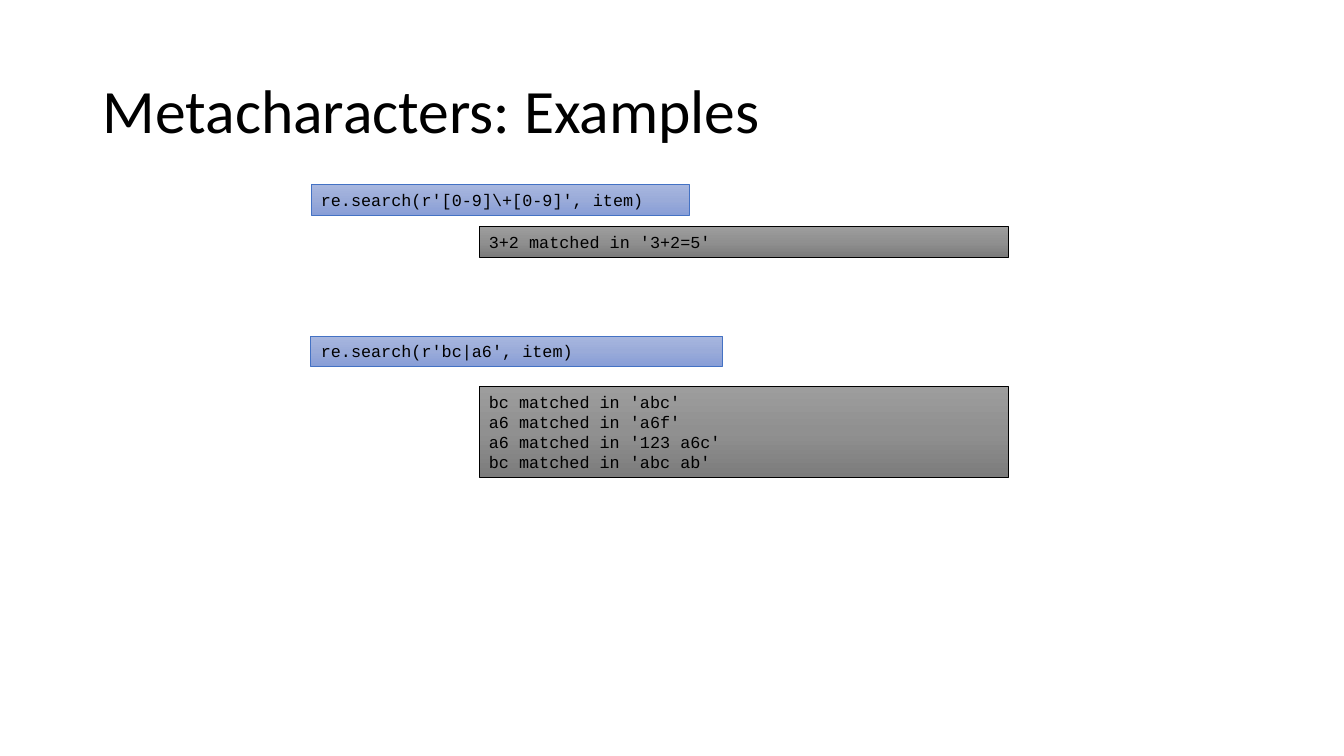
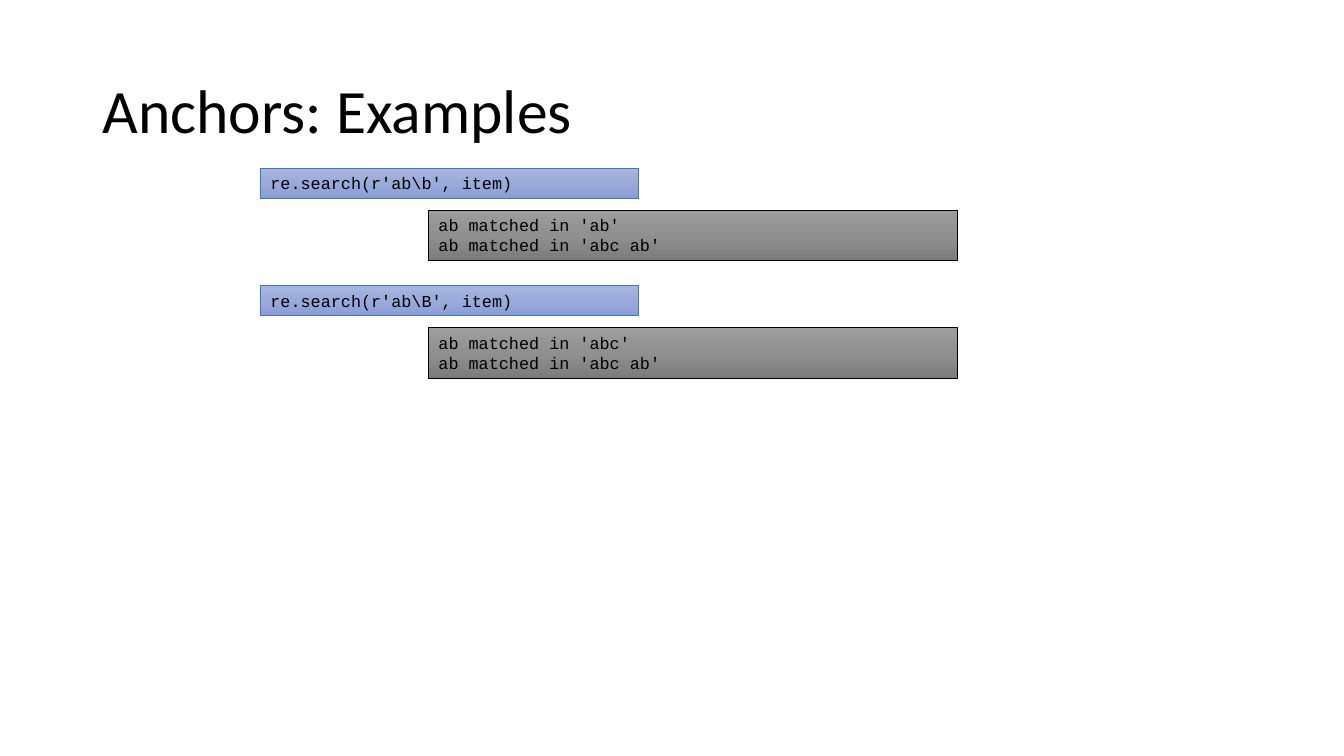
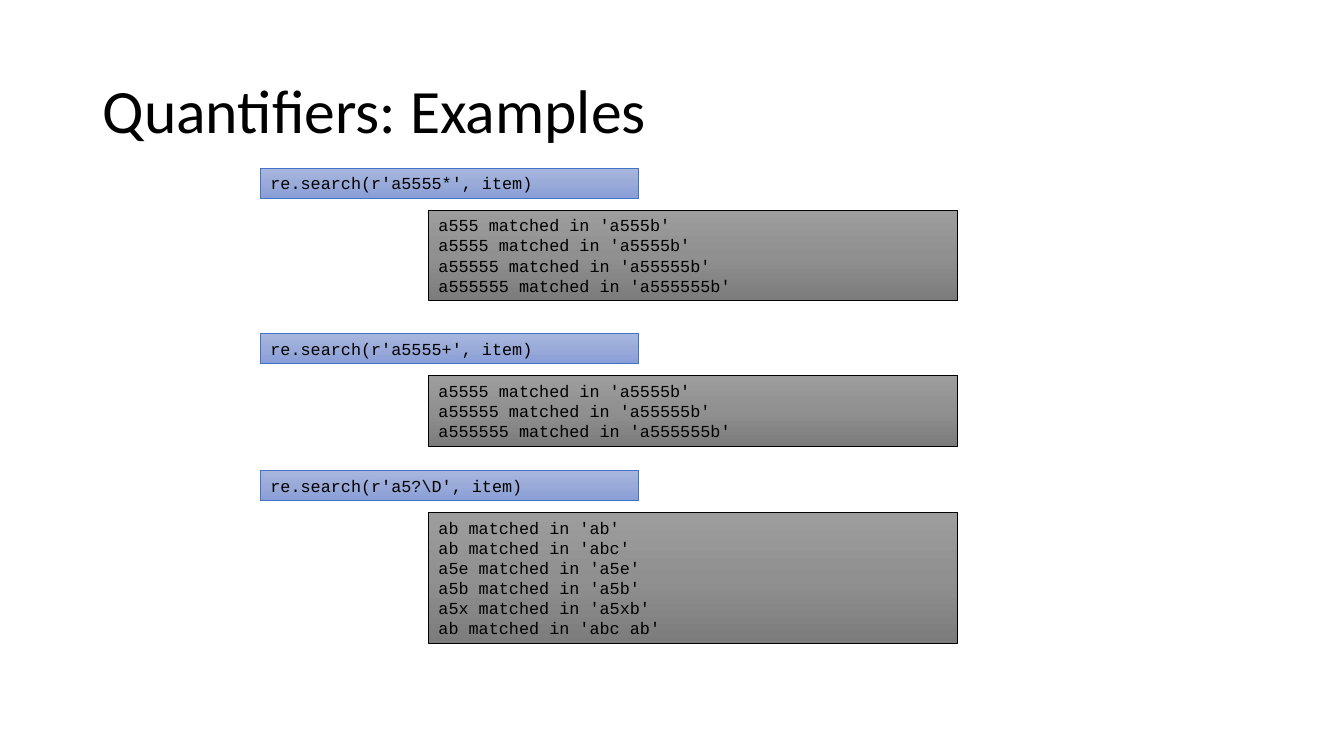
from copy import deepcopy

from pptx import Presentation
from pptx.dml.color import RGBColor
from pptx.enum.shapes import MSO_SHAPE as Shape
from pptx.enum.text import MSO_ANCHOR as Anchor, MSO_AUTO_SIZE as AutoSize, PP_ALIGN as Align
from pptx.oxml.ns import qn
from pptx.util import Inches, Pt

SLIDE_WIDTH, SLIDE_HEIGHT = 13.33, 7.5
CELL = 1 / 12
LINE_HEIGHT, BOX_PADDING = 0.2, 0.1
BLACK = "000000"
CODE_STYLE = {"stops": ("A8B7DF", "9AABD9", "889ED7"), "outline": "4472C4"}
RESULT_STYLE = {"stops": ("9D9D9D", "909090", "7C7C7C"), "outline": BLACK}
CODE_COLUMNS, RESULT_COLUMNS = 45, 63
RESULT_INDENT, RESULT_DROP = 20, 5


def color(value):
    return RGBColor.from_string(value)


def write_text(frame, text, font="Calibri", size=12, spacing=None, anchor=Anchor.TOP):
    frame.word_wrap = True
    frame.vertical_anchor = anchor
    for index, line in enumerate(text.split("\n")):
        paragraph = frame.paragraphs[0] if index == 0 else frame.add_paragraph()
        paragraph.alignment = Align.LEFT
        paragraph.line_spacing = spacing
        run = paragraph.add_run()
        run.text = line
        run.font.name = font
        run.font.size = Pt(size)
        run.font.color.rgb = color(BLACK)


def add_title(slide, text):
    box = slide.shapes.add_textbox(Inches(0.92), Inches(0.4), Inches(11.5), Inches(1.45))
    write_text(box.text_frame, text, size=44, spacing=0.9, anchor=Anchor.MIDDLE)


def fill_gradient(shape, stops):
    shape.fill.gradient()
    shape.fill.gradient_angle = 270
    stop_list = shape.fill._xPr.find(".//" + qn("a:gsLst"))
    stop_list.insert(1, deepcopy(stop_list[0]))
    for index, (stop, value) in enumerate(zip(shape.fill.gradient_stops, stops)):
        stop.position = index / (len(stops) - 1)
        stop.color.rgb = color(value)


def add_panel(slide, text, column, row, columns, stops, outline):
    height = BOX_PADDING + LINE_HEIGHT * len(text.split("\n"))
    shape = slide.shapes.add_shape(
        Shape.RECTANGLE, Inches(column * CELL), Inches(row * CELL),
        Inches(columns * CELL), Inches(height))
    shape.shadow.inherit = False
    fill_gradient(shape, stops)
    shape.line.color.rgb = color(outline)
    shape.line.width = Pt(0.5)
    write_text(shape.text_frame, text, font="Courier New")
    shape.text_frame.auto_size = AutoSize.SHAPE_TO_FIT_TEXT


def add_example(slide, column, row, code, results, columns=CODE_COLUMNS, drop=RESULT_DROP):
    add_panel(slide, code, column, row, columns, **CODE_STYLE)
    matches = "\n".join(f"{match} matched in '{item}'" for match, item in results)
    add_panel(slide, matches, column + RESULT_INDENT, row + drop, RESULT_COLUMNS, **RESULT_STYLE)


def add_example_slide(presentation, title):
    slide = presentation.slides.add_slide(presentation.slide_layouts[6])
    add_title(slide, title)
    return slide


def main():
    presentation = Presentation()
    presentation.slide_width = Inches(SLIDE_WIDTH)
    presentation.slide_height = Inches(SLIDE_HEIGHT)

    slide = add_example_slide(presentation, "Metacharacters: Examples")
    add_example(slide, 37, 22, r"re.search(r'[0-9]\+[0-9]', item)", [("3+2", "3+2=5")])
    add_example(slide, 37, 40, "re.search(r'bc|a6', item)",
                [("bc", "abc"), ("a6", "a6f"), ("a6", "123 a6c"), ("bc", "abc ab")],
                columns=49, drop=6)

    slide = add_example_slide(presentation, "Anchors: Examples")
    add_example(slide, 31, 20, r"re.search(r'ab\b', item)", [("ab", "ab"), ("ab", "abc ab")])
    add_example(slide, 31, 34, r"re.search(r'ab\B', item)", [("ab", "abc"), ("ab", "abc ab")])

    slide = add_example_slide(presentation, "Quantifiers: Examples")
    repeats = [("a" + "5" * count, "a" + "5" * count + "b") for count in range(3, 7)]
    add_example(slide, 31, 20, "re.search(r'a5555*', item)", repeats)
    add_example(slide, 31, 39.7, "re.search(r'a5555+', item)", repeats[1:])
    add_example(slide, 31, 56, r"re.search(r'a5?\D', item)",
                [("ab", "ab"), ("ab", "abc"), ("a5e", "a5e"),
                 ("a5b", "a5b"), ("a5x", "a5xb"), ("ab", "abc ab")])

    presentation.save("out.pptx")


if __name__ == "__main__":
    main()
